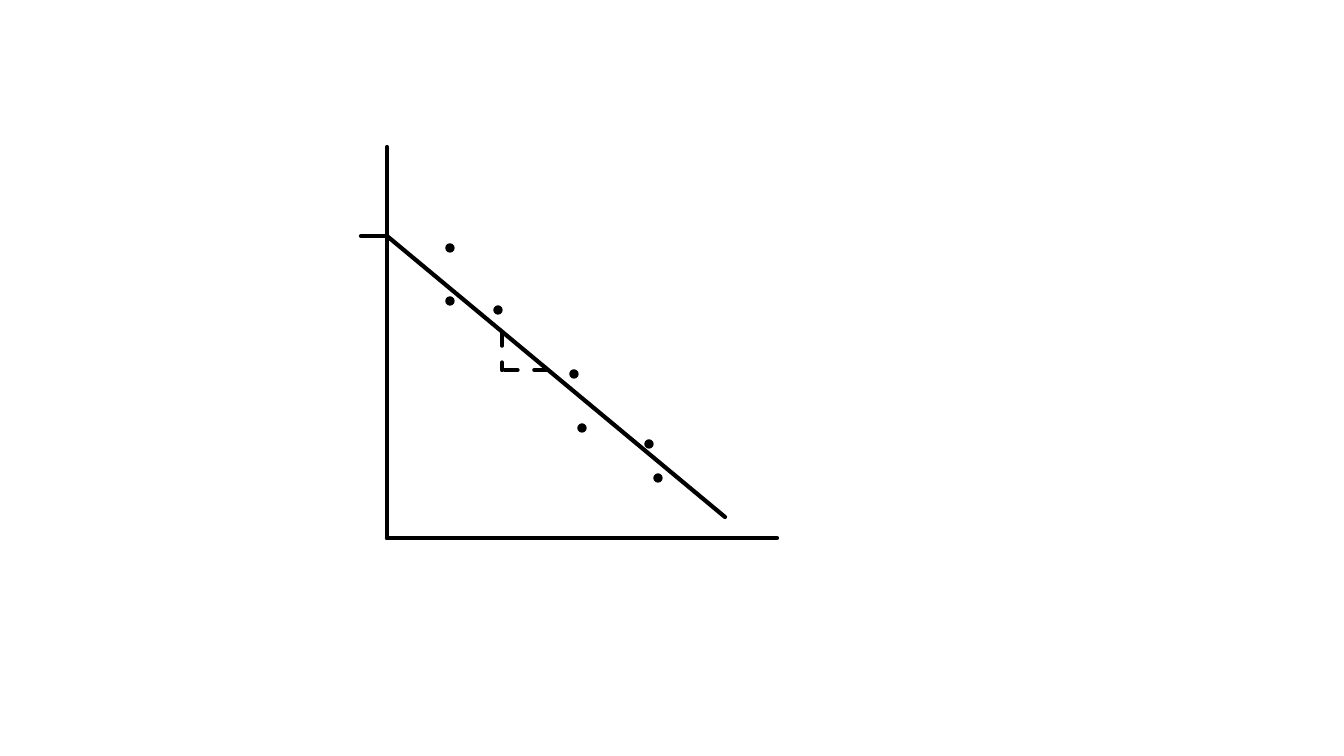
from lxml import etree
from pptx import Presentation
from pptx.dml.color import RGBColor
from pptx.enum.dml import MSO_LINE
from pptx.enum.shapes import MSO_CONNECTOR, MSO_SHAPE
from pptx.oxml.ns import qn
from pptx.util import Emu, Pt

STRAIGHT = MSO_CONNECTOR.STRAIGHT
OVAL = MSO_SHAPE.OVAL
DASH = MSO_LINE.DASH
BLACK = RGBColor(0, 0, 0)

SLIDE_W, SLIDE_H = 1344, 756
DOT = 8

# Key positions of the plot, in px
ORIGIN = (387, 538)
Y_TOP, X_END = 147, 777
INTERCEPT = (387, 236)
FIT_END = (725, 517)
SLOPE_TOP, SLOPE_CORNER, SLOPE_RIGHT = (502, 333), (502, 370), (547, 370)

SOLID_LINES = [
    ((ORIGIN[0], Y_TOP), ORIGIN),
    ((X_END, ORIGIN[1]), ORIGIN),
    (INTERCEPT, FIT_END),
    (INTERCEPT, (361, INTERCEPT[1])),
]
DASHED_LINES = [(SLOPE_TOP, SLOPE_CORNER), (SLOPE_RIGHT, SLOPE_CORNER)]

# Centres of the data points
POINTS = [(450, 248), (450, 301), (498, 310), (574, 374),
          (582, 428), (649, 444), (658, 478)]


def px(n):
    return Emu(round(n * 914400 / 100.8))


def add_line(slide, start, end, dash=None):
    line = slide.shapes.add_connector(STRAIGHT, *map(px, start + end))
    line.line.color.rgb = BLACK
    line.line.width = Pt(3)
    if dash:
        line.line.dash_style = dash
    sp_pr = line._element.spPr
    sp_pr.find(qn("a:ln")).set("cap", "rnd")
    etree.SubElement(sp_pr, qn("a:effectLst"))


def add_point(slide, x, y):
    sp = slide.shapes.add_shape(
        OVAL, px(x - DOT / 2), px(y - DOT / 2), px(DOT), px(DOT))
    sp.shadow.inherit = False
    sp.fill.solid()
    sp.fill.fore_color.rgb = BLACK
    sp.line.color.rgb = BLACK
    sp.line.width = Pt(1)


def main():
    prs = Presentation()
    prs.slide_width, prs.slide_height = px(SLIDE_W), px(SLIDE_H)
    slide = prs.slides.add_slide(prs.slide_layouts[6])
    for start, end in SOLID_LINES:
        add_line(slide, start, end)
    for x, y in POINTS:
        add_point(slide, x, y)
    for start, end in DASHED_LINES:
        add_line(slide, start, end, DASH)
    prs.save("out.pptx")


if __name__ == "__main__":
    main()
